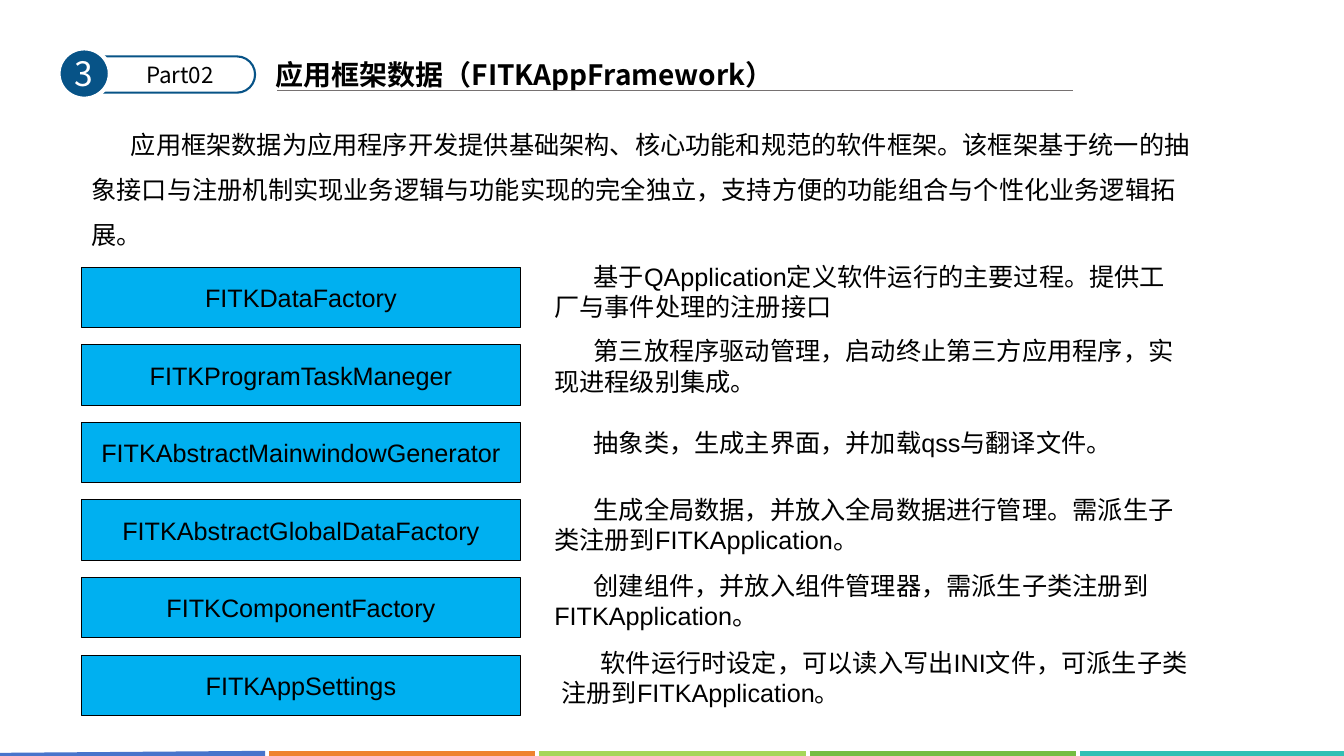
from dataclasses import dataclass

from lxml import etree
from pptx import Presentation
from pptx.dml.color import RGBColor
from pptx.enum import shapes, text
from pptx.oxml import ns
from pptx.util import Inches, Pt


@dataclass(frozen=True)
class Theme:
    latin: str = "Arial"
    chinese: str = "Noto Sans CJK SC"
    black: str = "000000"
    white: str = "FFFFFF"
    navy: str = "075387"
    sky: str = "00B0F0"
    gray: str = "767171"
    footer: tuple = ("4874CB", "EE822F", "A6D659", "75BD42", "30C0B4")
    title: int = 20
    number: int = 24
    label: int = 16
    body: int = 18


THEME = Theme()
INDENT = 0.39
INTRO = (
    "应用框架数据为应用程序开发提供基础架构、核心功能和规范的软件框架。"
    "该框架基于统一的抽象接口与注册机制实现业务逻辑与功能实现的完全独立，"
    "支持方便的功能组合与个性化业务逻辑拓展。"
)
CLASSES = (
    ("FITKDataFactory", 5.4, 2.54, 0.71,
     "基于QApplication定义软件运行的主要过程。提供工厂与事件处理的注册接口"),
    ("FITKProgramTaskManeger", 5.4, 3.28, 0.71,
     "第三放程序驱动管理，启动终止第三方应用程序，实现进程级别集成。"),
    ("FITKAbstractMainwindowGenerator", 5.4, 4.19, 0.4,
     "抽象类，生成主界面，并加载qss与翻译文件。"),
    ("FITKAbstractGlobalDataFactory", 5.4, 4.85, 0.71,
     "生成全局数据，并放入全局数据进行管理。需派生子类注册到FITKApplication。"),
    ("FITKComponentFactory", 5.4, 5.61, 0.71,
     "创建组件，并放入组件管理器，需派生子类注册到FITKApplication。"),
    ("FITKAppSettings", 5.47, 6.37, 0.71,
     "软件运行时设定，可以读入写出INI文件，可派生子类注册到FITKApplication。"),
)


def write(box, words, size=THEME.body, font=THEME.latin, color=THEME.black, bold=False,
          align=text.PP_ALIGN.LEFT, anchor=text.MSO_ANCHOR.TOP, spacing=1.0, indent=0):
    frame = box.text_frame
    frame.word_wrap = True
    frame.auto_size = text.MSO_AUTO_SIZE.NONE
    frame.vertical_anchor = anchor
    para = frame.paragraphs[0]
    para.alignment = align
    para.line_spacing = spacing
    if indent:
        para._p.get_or_add_pPr().set("indent", str(Inches(indent)))
    span = para.add_run()
    span.text = words
    span.font.size = Pt(size)
    span.font.name = font
    span.font.bold = bold
    span.font.color.rgb = RGBColor.from_string(color)
    east_asian = etree.SubElement(span._r.get_or_add_rPr(), ns.qn("a:ea"))
    east_asian.set("typeface", THEME.chinese)


def add_text(page, left, top, width, height, words, **format):
    box = page.shapes.add_textbox(Inches(left), Inches(top), Inches(width), Inches(height))
    write(box, words, **format)


def add_block(page, kind, left, top, width, height, fill, line, weight):
    box = page.shapes.add_shape(kind, Inches(left), Inches(top), Inches(width), Inches(height))
    box.shadow.inherit = False
    box.fill.solid()
    box.fill.fore_color.rgb = RGBColor.from_string(fill)
    box.line.color.rgb = RGBColor.from_string(line)
    box.line.width = Pt(weight)
    return box


def add_line(page, x1, y1, x2, y2, color, weight):
    line = page.shapes.add_connector(
        shapes.MSO_CONNECTOR.STRAIGHT, Inches(x1), Inches(y1), Inches(x2), Inches(y2))
    line.line.color.rgb = RGBColor.from_string(color)
    line.line.width = Pt(weight)
    etree.SubElement(line._element.spPr, ns.qn("a:effectLst"))


def add_footer(page):
    for index, color in enumerate(THEME.footer):
        left = -0.01 + 2.68 * index
        start = 7.48 if index else 7.5
        add_line(page, left, start, left + 2.64, 7.48, color, 4.5)


def add_heading(page):
    add_line(page, 2.75, 0.9, 10.64, 0.9, THEME.gray, 1)
    title = page.shapes.title
    title.left, title.top = Inches(2.63), Inches(0.52)
    title.width, title.height = Inches(8.86), Inches(0.44)
    write(title, "应用框架数据（FITKAppFramework）", size=THEME.title,
          font=THEME.chinese, bold=True)
    pill = add_block(page, shapes.MSO_SHAPE.ROUNDED_RECTANGLE, 0.65, 0.56, 1.88, 0.36,
                     THEME.white, THEME.navy, 1.5)
    pill.adjustments[0] = 0.5
    badge = add_block(page, shapes.MSO_SHAPE.OVAL, 0.58, 0.48, 0.51, 0.5,
                      THEME.navy, THEME.white, 3)
    frame = badge.text_frame
    frame.margin_left = frame.margin_right = frame.margin_top = frame.margin_bottom = 0
    write(badge, "3", size=THEME.number, font=THEME.chinese, color=THEME.white,
          align=text.PP_ALIGN.CENTER, anchor=text.MSO_ANCHOR.MIDDLE)
    add_text(page, 0.81, 0.56, 1.95, 0.37, "Part02", size=THEME.label,
             font=THEME.chinese, align=text.PP_ALIGN.CENTER)


def add_classes(page):
    for row, (name, left, top, height, description) in enumerate(CLASSES):
        block = add_block(page, shapes.MSO_SHAPE.RECTANGLE, 0.81, 2.65 + 0.77 * row,
                          4.35, 0.6, THEME.sky, THEME.black, 0.75)
        write(block, name, align=text.PP_ALIGN.CENTER, anchor=text.MSO_ANCHOR.MIDDLE)
        add_text(page, left, top, 11.9 - left, height, description, indent=INDENT)


def main():
    deck = Presentation()
    deck.slide_width, deck.slide_height = Inches(13.33), Inches(7.5)
    page = deck.slides.add_slide(deck.slide_layouts.get_by_name("Title Only"))
    add_footer(page)
    add_heading(page)
    add_text(page, 0.81, 1.08, 11.09, 1.46, INTRO, font=THEME.chinese,
             spacing=1.5, indent=INDENT)
    add_classes(page)
    deck.save("out.pptx")


if __name__ == "__main__":
    main()
